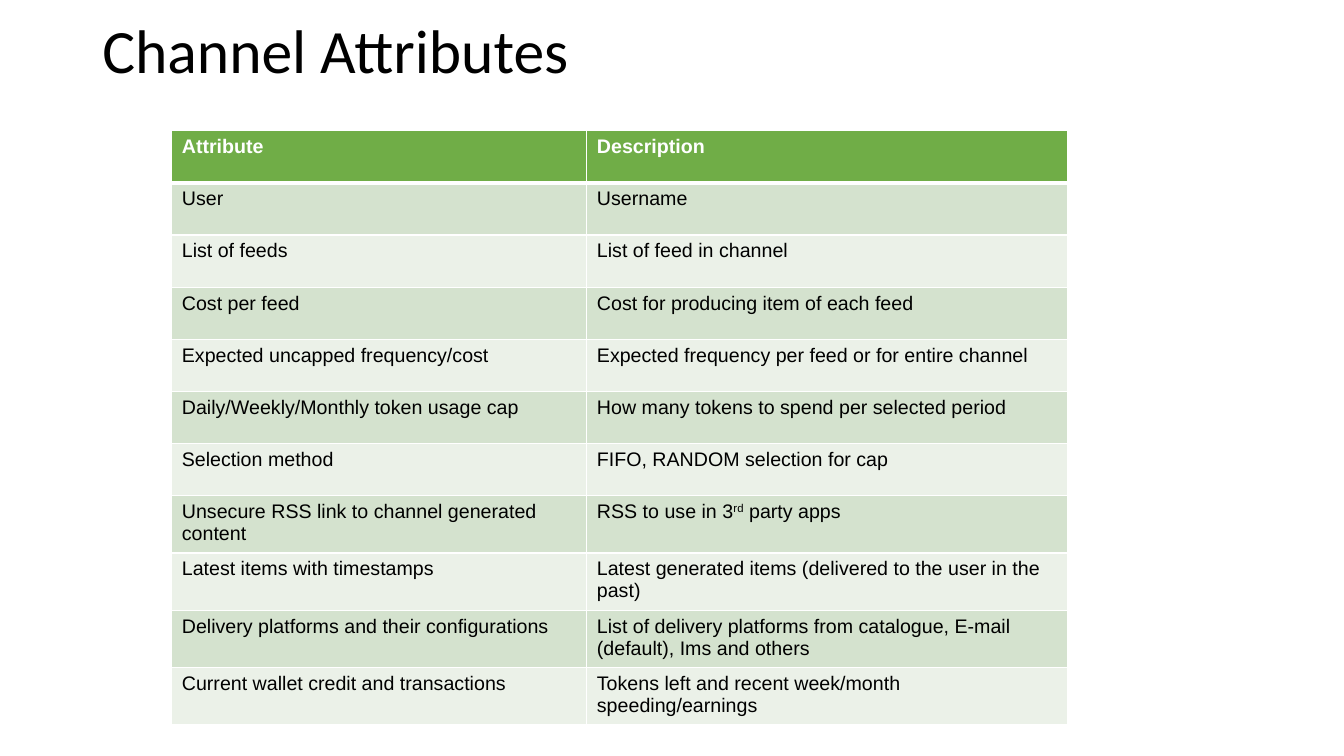
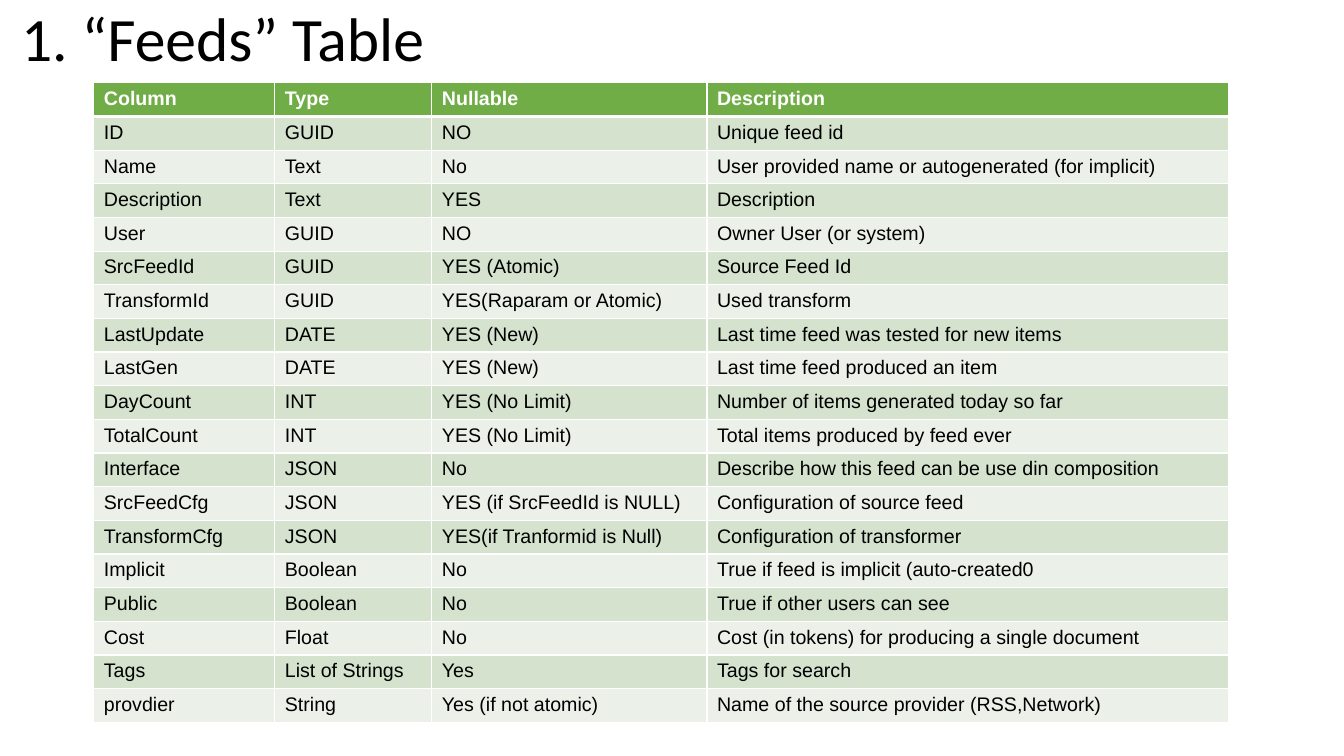
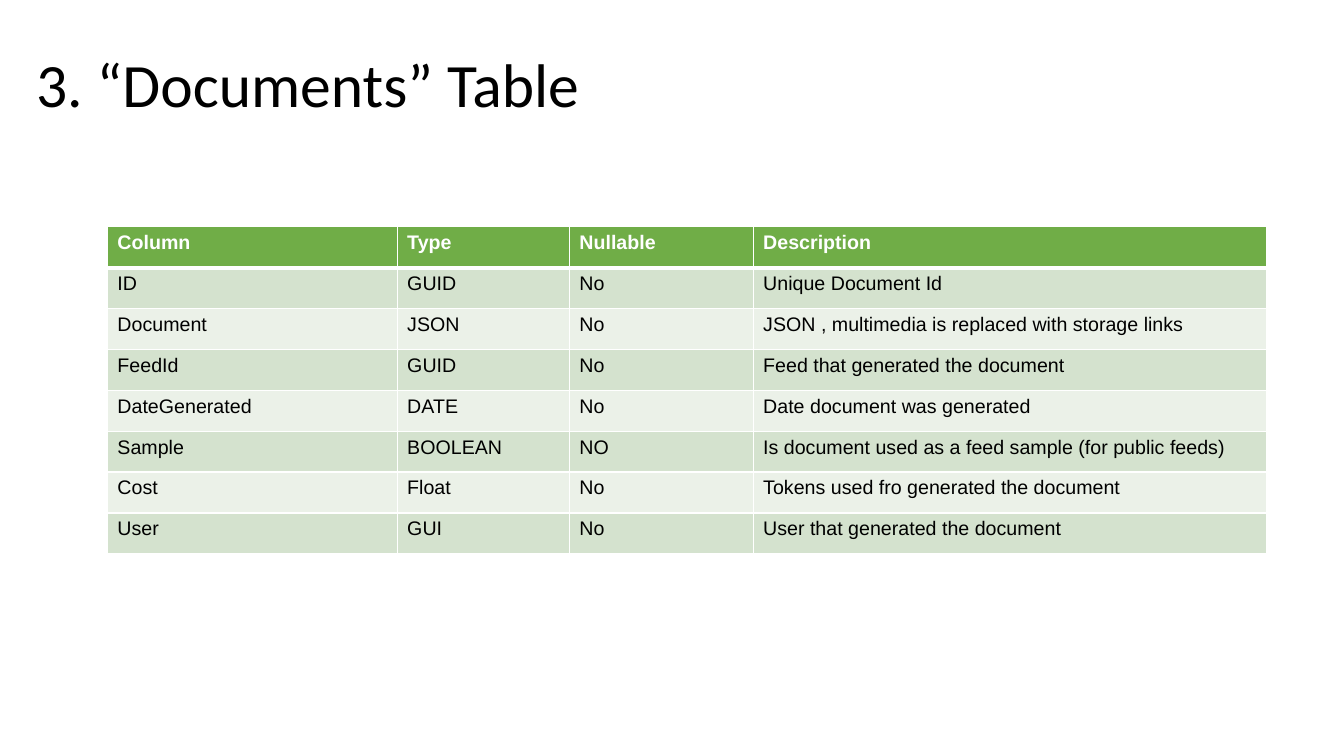
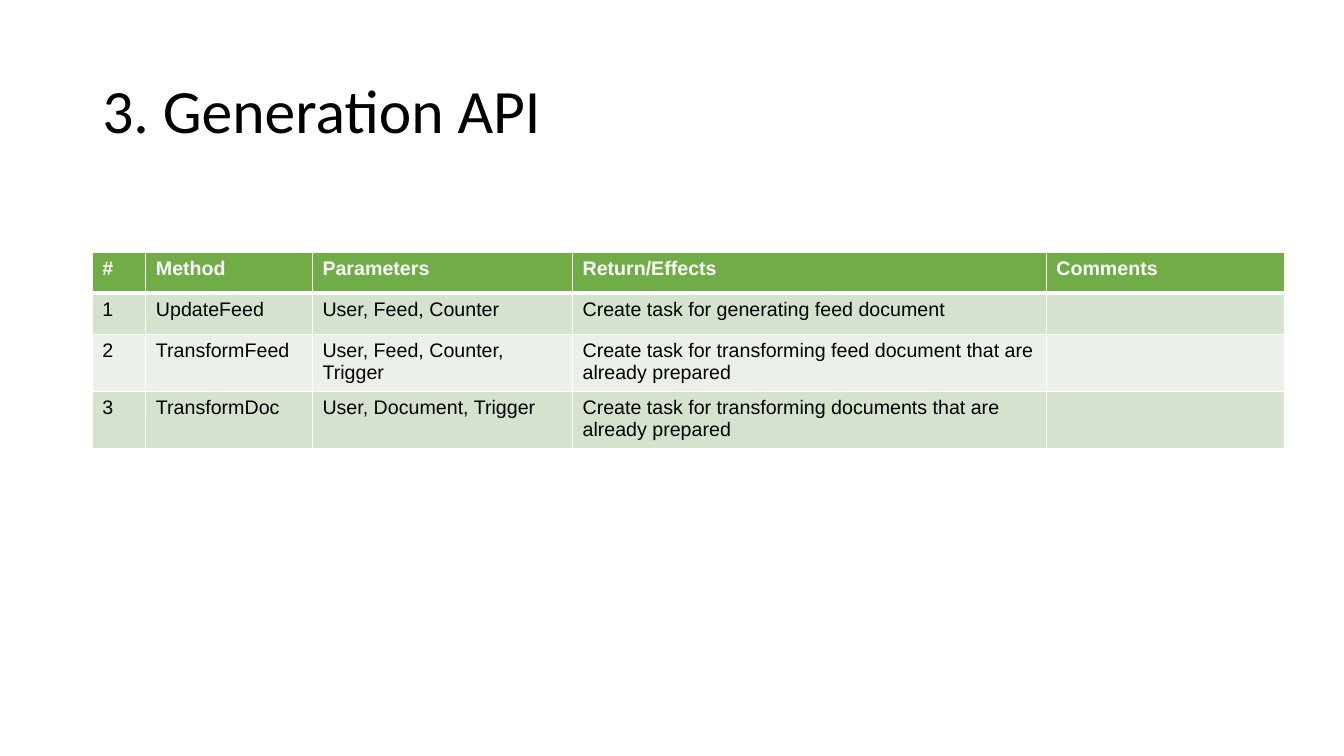
from pptx import Presentation
from pptx.dml.color import RGBColor
from pptx.enum.text import MSO_ANCHOR as ANCHOR
from pptx.oxml import parse_xml
from pptx.oxml.ns import nsdecls
from pptx.util import Pt

# Shared look
BLACK, WHITE, GREEN = "000000", "FFFFFF", "70AD47"
BANDS = ["EBF1E8", "D4E2CE"]
TITLE_WIDTH = 828


def rgb(color):
    return RGBColor.from_string(color)


def add_run(p, text, font, size, color, bold=False):
    r = p.add_run()
    r.text = text
    r.font.name, r.font.size, r.font.bold = font, Pt(size), bold
    r.font.color.rgb = rgb(color)
    return r


# Slide content: title, title box (left, top, height),
# table (left, top, row height), column widths, rows.
# Text between ^ signs is superscript.
SLIDES = [
    ("Channel Attributes", (66, 4.3, 67.7), (122.7, 93.3, 37.3),
     [296.5, 343.5], [
        ("Attribute", "Description"),
        ("User", "Username"),
        ("List of feeds", "List of feed in channel"),
        ("Cost per feed", "Cost for producing item of each feed"),
        ("Expected uncapped frequency/cost",
         "Expected frequency per feed or for entire channel"),
        ("Daily/Weekly/Monthly token usage cap",
         "How many tokens to spend per selected period"),
        ("Selection method", "FIFO, RANDOM selection for cap"),
        ("Unsecure RSS link to channel generated content",
         "RSS to use in 3^rd^ party apps"),
        ("Latest items with timestamps",
         "Latest generated items (delivered to the user in the past)"),
        ("Delivery platforms and their configurations",
         "List of delivery platforms from catalogue, E-mail (default), "
         "Ims and others"),
        ("Current wallet credit and transactions",
         "Tokens left and recent week/month speeding/earnings"),
     ]),
    ("1. “Feeds” Table", (8, 0.7, 58.3), (67, 59.2, 22.9),
     [129.3, 112.2, 196.5, 372.7], [
        ("Column", "Type", "Nullable", "Description"),
        ("ID", "GUID", "NO", "Unique feed id"),
        ("Name", "Text", "No",
         "User provided name or autogenerated (for implicit)"),
        ("Description", "Text", "YES", "Description"),
        ("User", "GUID", "NO", "Owner User (or system)"),
        ("SrcFeedId", "GUID", "YES (Atomic)", "Source Feed Id"),
        ("TransformId", "GUID", "YES(Raparam or Atomic)", "Used transform"),
        ("LastUpdate", "DATE", "YES (New)",
         "Last time feed was tested for new items"),
        ("LastGen", "DATE", "YES (New)", "Last time feed produced an item"),
        ("DayCount", "INT", "YES (No Limit)",
         "Number of items generated today so far"),
        ("TotalCount", "INT", "YES (No Limit)",
         "Total items produced by feed ever"),
        ("Interface", "JSON", "No",
         "Describe how this feed can be use din composition"),
        ("SrcFeedCfg", "JSON", "YES (if SrcFeedId is NULL)",
         "Configuration of source feed"),
        ("TransformCfg", "JSON", "YES(if Tranformid is Null)",
         "Configuration of transformer"),
        ("Implicit", "Boolean", "No",
         "True if feed is implicit (auto-created0"),
        ("Public", "Boolean", "No", "True if other users can see"),
        ("Cost", "Float", "No",
         "Cost (in tokens) for producing a single document"),
        ("Tags", "List of Strings", "Yes", "Tags for search"),
        ("provdier", "String", "Yes (if not atomic)",
         "Name of the source provider (RSS,Network)"),
     ]),
    ("3. “Documents” Table", (18.7, 10, 104.4), (76.7, 162, 29.2),
     [207, 123, 131.3, 367], [
        ("Column", "Type", "Nullable", "Description"),
        ("ID", "GUID", "No", "Unique Document Id"),
        ("Document", "JSON", "No",
         "JSON , multimedia is replaced with storage links"),
        ("FeedId", "GUID", "No", "Feed that generated the document"),
        ("DateGenerated", "DATE", "No", "Date document was generated"),
        ("Sample", "BOOLEAN", "NO",
         "Is document used as a feed sample (for public feeds)"),
        ("Cost", "Float", "No", "Tokens used fro generated the document"),
        ("User", "GUI", "No", "User that generated the document"),
     ]),
    ("3. Generation API", (66, 28.7, 104.4), (66, 180.3, 29.2),
     [38.2, 119, 185.8, 338.4, 170.3], [
        ("#", "Method", "Parameters", "Return/Effects", "Comments"),
        ("1", "UpdateFeed", "User, Feed, Counter",
         "Create task for generating feed document", ""),
        ("2", "TransformFeed", "User, Feed, Counter, Trigger",
         "Create task for transforming feed document that are already "
         "prepared", ""),
        ("3", "TransformDoc", "User, Document, Trigger",
         "Create task for transforming documents that are already "
         "prepared", ""),
     ]),
]

prs = Presentation()
prs.slide_width, prs.slide_height = Pt(960), Pt(540)

for title, (x, y, h), (left, top, row_h), widths, rows in SLIDES:
    s = prs.slides.add_slide(prs.slide_layouts[6])

    # Title
    tf = s.shapes.add_textbox(Pt(x), Pt(y), Pt(TITLE_WIDTH), Pt(h)).text_frame
    tf.word_wrap = True
    tf.vertical_anchor = ANCHOR.MIDDLE
    p = tf.paragraphs[0]
    p.line_spacing = 0.9
    add_run(p, title, "Calibri", 44, BLACK)

    # Table
    table = s.shapes.add_table(
        len(rows), len(widths), Pt(left), Pt(top),
        Pt(sum(widths)), Pt(row_h * len(rows))).table
    for col, width in zip(table.columns, widths):
        col.width = Pt(width)
    for i, row in enumerate(rows):
        table.rows[i].height = Pt(row_h)
        header = i == 0
        for j, text in enumerate(row):
            cell = table.cell(i, j)

            # White borders, thicker under the header
            tcPr = cell._tc.get_or_add_tcPr()
            for side in "LRTB":
                thick = (side, i) in [("B", 0), ("T", 1)]
                tcPr.append(parse_xml(
                    f'<a:ln{side} {nsdecls("a")} w="{Pt(3 if thick else 1)}">'
                    f'<a:solidFill><a:srgbClr val="{WHITE}"/></a:solidFill>'
                    f'</a:ln{side}>'))
            cell.fill.solid()
            cell.fill.fore_color.rgb = rgb(GREEN if header else BANDS[i % 2])

            # Cell text
            if not text:
                continue
            p = cell.text_frame.paragraphs[0]
            for k, part in enumerate(text.split("^")):
                r = add_run(p, part, "Arial", 14,
                            WHITE if header else BLACK, header)
                if k % 2:
                    r._r.get_or_add_rPr().set("baseline", "30000")

prs.save("out.pptx")
